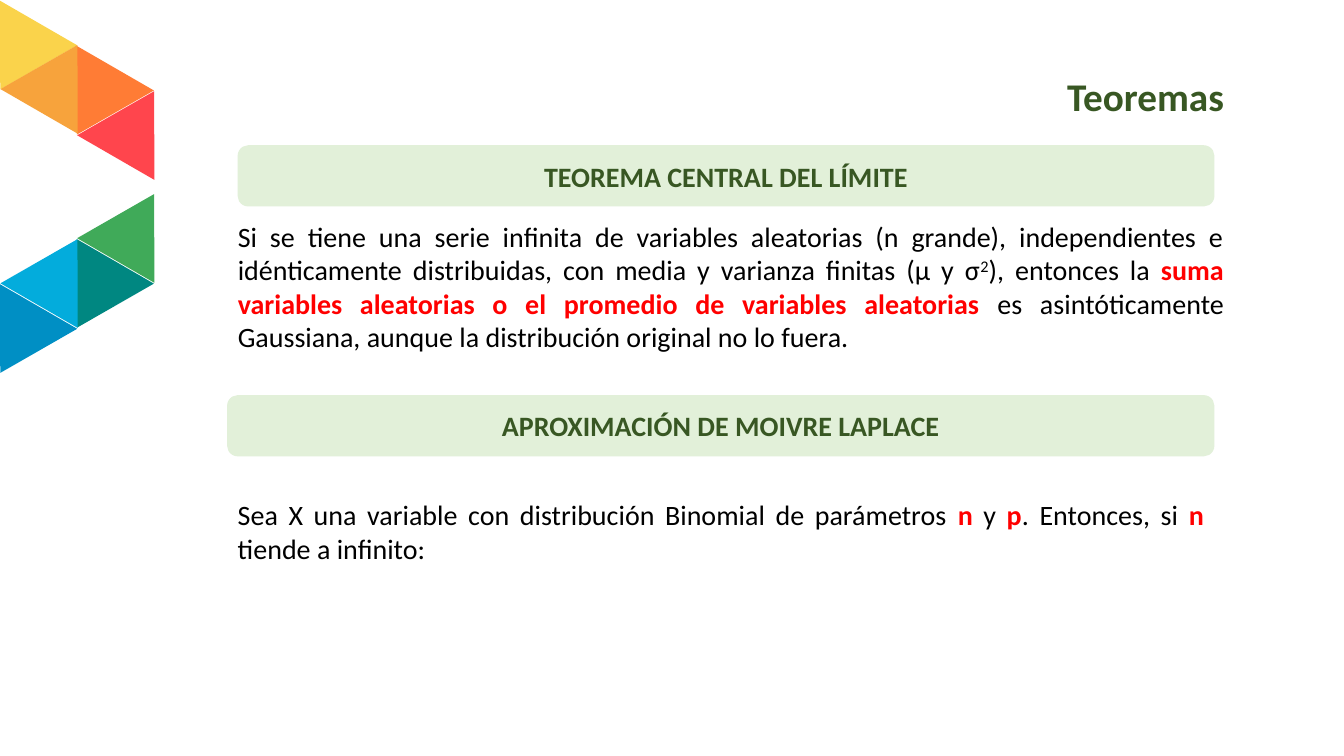
from dataclasses import dataclass

from pptx import Presentation
from pptx.dml.color import RGBColor
from pptx.enum.shapes import MSO_SHAPE
from pptx.enum.text import MSO_ANCHOR, PP_ALIGN
from pptx.util import Emu, Pt

EMU_PER_PX = 9525


@dataclass(frozen=True)
class Theme:
    font: str = "Calibri"
    title_size: int = 28
    text_size: int = 20
    heading: str = "385723"
    band: str = "E2F0D9"
    text: str = "000000"
    accent: str = "FF0000"


THEME = Theme()

# Left, top, rotation and colour of each triangle
TRIANGLES = [
    (-24, 17, 210, "FAD34B"),
    (49, 60, 210, "FF7C35"),
    (13, 38, 30, "F7A33C"),
    (86, 82, 30, "FF454D"),
    (49, 244, 210, "008781"),
    (-24, 287, 210, "008FC4"),
    (13, 223, 30, "03ACDC"),
    (86, 180, 30, "40AA59"),
]

PLAIN = {"size": THEME.text_size, "color": THEME.text, "bold": False}
STRONG = {**PLAIN, "color": THEME.accent, "bold": True}
SUPERSCRIPT = {**PLAIN, "baseline": 30000}
BAND_HEADING = {**PLAIN, "color": THEME.heading, "bold": True}
TITLE = {**BAND_HEADING, "size": THEME.title_size}

LIMIT_THEOREM = [
    ("Si se tiene una serie infinita de variables aleatorias (n grande), "
     "independientes e idénticamente distribuidas, con media y varianza "
     "finitas (µ y σ", PLAIN),
    ("2", SUPERSCRIPT),
    ("), entonces la ", PLAIN),
    ("suma variables aleatorias o el promedio de variables aleatorias ", STRONG),
    ("es asintóticamente Gaussiana, aunque la distribución original "
     "no lo fuera.", PLAIN),
]
BINOMIAL_APPROXIMATION = [
    ("Sea X una variable con distribución Binomial de parámetros ", PLAIN),
    ("n ", STRONG),
    ("y", PLAIN),
    (" p", STRONG),
    (". Entonces, si ", PLAIN),
    ("n ", STRONG),
    ("tiende a infinito:", PLAIN),
]


def px(*lengths):
    """Turn pixel lengths into EMU."""
    return [Emu(length * EMU_PER_PX) for length in lengths]


def write_runs(paragraph, runs, alignment):
    paragraph.alignment = alignment
    for text, style in runs:
        run = paragraph.add_run()
        run.text = text
        font_values = {
            "name": THEME.font,
            "size": Pt(style["size"]),
            "bold": style["bold"],
        }
        for name, value in font_values.items():
            setattr(run.font, name, value)
        run.font.color.rgb = RGBColor.from_string(style["color"])
        if "baseline" in style:
            run.font._element.set("baseline", str(style["baseline"]))


def add_filled_shape(slide, kind, box, color):
    shape = slide.shapes.add_shape(kind, *px(*box))
    shape.shadow.inherit = False
    shape.fill.solid()
    shape.fill.fore_color.rgb = RGBColor.from_string(color)
    shape.line.fill.background()
    return shape


def add_triangle(slide, left, top, rotation, color):
    box = (left, top, 85, 73)
    shape = add_filled_shape(slide, MSO_SHAPE.ISOSCELES_TRIANGLE, box, color)
    shape.rotation = rotation


def add_band(slide, box, heading):
    shape = add_filled_shape(slide, MSO_SHAPE.ROUNDED_RECTANGLE, box, THEME.band)
    shape.line.color.rgb = RGBColor.from_string(THEME.band)
    shape.line.width = Pt(1)
    shape.text_frame.vertical_anchor = MSO_ANCHOR.MIDDLE
    write_runs(shape.text_frame.paragraphs[0], [(heading, BAND_HEADING)],
               PP_ALIGN.CENTER)


def add_text(slide, box, runs, alignment=PP_ALIGN.JUSTIFY):
    text_frame = slide.shapes.add_textbox(*px(*box)).text_frame
    text_frame.word_wrap = True
    paragraph = text_frame.paragraphs[0]
    write_runs(paragraph, runs, alignment)
    return paragraph


def main():
    presentation = Presentation()
    presentation.slide_width, presentation.slide_height = px(1280, 720)
    slide = presentation.slides.add_slide(presentation.slide_layouts[6])

    for triangle in TRIANGLES:
        add_triangle(slide, *triangle)

    title = add_text(slide, (257, 69, 918, 62), [("Teoremas", TITLE)],
                     PP_ALIGN.RIGHT)
    title.line_spacing = 0.9

    add_text(slide, (217, 204, 958, 139), LIMIT_THEOREM)
    add_band(slide, (227, 139, 929, 57), "TEOREMA CENTRAL DEL LÍMITE")
    add_text(slide, (217, 469, 939, 74), BINOMIAL_APPROXIMATION)
    add_band(slide, (217, 377, 939, 57), "APROXIMACIÓN DE MOIVRE LAPLACE")

    presentation.save("out.pptx")


if __name__ == "__main__":
    main()
